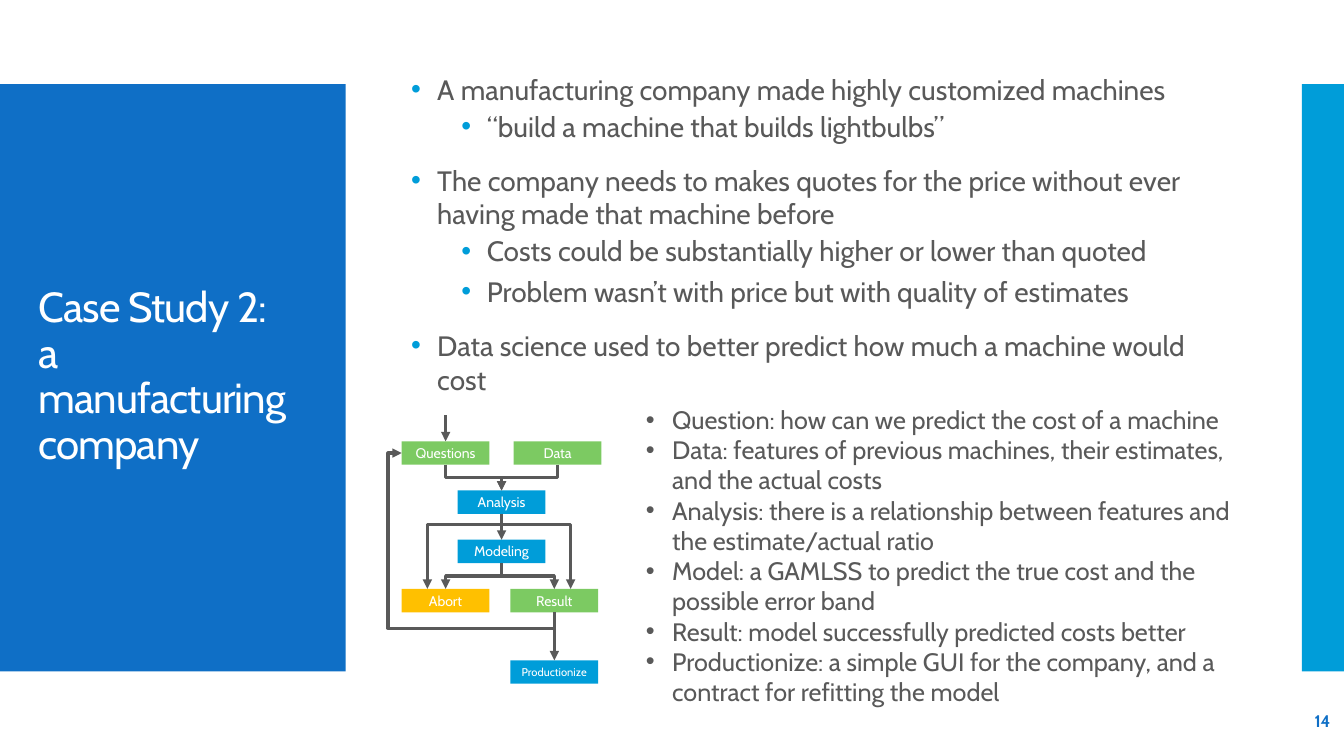
from lxml import etree
from pptx import Presentation
from pptx.dml.color import RGBColor
from pptx.enum.shapes import MSO_CONNECTOR, MSO_SHAPE
from pptx.enum.text import MSO_ANCHOR, MSO_AUTO_SIZE, PP_ALIGN
from pptx.oxml.ns import qn
from pptx.util import Cm, Pt

RECTANGLE = MSO_SHAPE.RECTANGLE
STRAIGHT, ELBOW = MSO_CONNECTOR.STRAIGHT, MSO_CONNECTOR.ELBOW
MIDDLE, NO_AUTOFIT = MSO_ANCHOR.MIDDLE, MSO_AUTO_SIZE.NONE
LEFT, CENTER, RIGHT = PP_ALIGN.LEFT, PP_ALIGN.CENTER, PP_ALIGN.RIGHT
BLUE, CYAN, GREEN, AMBER = "0F6FC6", "009DD9", "7CCA62", "FFC000"
GRAY, WHITE = "595959", "FFFFFF"


def color(value):
    return RGBColor.from_string(value)


def add_text(paragraph, text, size, text_color, bold=False):
    run = paragraph.add_run()
    run.text = text
    run.font.name = "Cabin"
    run.font.size = Pt(size)
    run.font.bold = bold
    run.font.color.rgb = color(text_color)
    return run


presentation = Presentation()
presentation.slide_width, presentation.slide_height = Cm(33.87), Cm(19.05)
slide = presentation.slides.add_slide(presentation.slide_layouts[5])

# Side panels, kept behind the title
title = slide.shapes.title
for left, width, fill in [(0, 8.71, BLUE), (32.81, 1.06, CYAN)]:
    panel = slide.shapes.add_shape(RECTANGLE, Cm(left), Cm(2.12), Cm(width), Cm(14.8))
    panel.shadow.inherit = False
    panel.fill.solid()
    panel.fill.fore_color.rgb = color(fill)
    panel.line.fill.background()
    title._element.addprevious(panel._element)

# Title
title.left, title.top, title.width, title.height = Cm(0.71), Cm(3.12), Cm(7.37), Cm(12.78)
title.text_frame.word_wrap = True
title.text_frame.auto_size = NO_AUTOFIT
title.text_frame.vertical_anchor = MIDDLE
paragraph = title.text_frame.paragraphs[0]
paragraph.alignment = LEFT
paragraph.line_spacing = 0.9
title_runs = [add_text(paragraph, "Case Study 2: ", 30, WHITE)]
paragraph.add_line_break()
title_runs.append(add_text(paragraph, "a manufacturing company", 30, WHITE))
for run in title_runs:
    run._r.get_or_add_rPr().set("spc", "-60")

# Bulleted texts: left, top, width, height, size, bullet colour, space before, lines with level
case_lines = [
    (0, "A manufacturing company made highly customized machines"),
    (1, "“build a machine that builds lightbulbs”"),
    (0, "The company needs to makes quotes for the price without ever having made that machine before"),
    (1, "Costs could be substantially higher or lower than quoted"),
    (1, "Problem wasn’t with price but with quality of estimates"),
    (0, "Data science used to better predict how much a machine would cost"),
]
step_lines = [
    (0, "Question: how can we predict the cost of a machine"),
    (0, "Data: features of previous machines, their estimates, and the actual costs"),
    (0, "Analysis: there is a relationship between features and the estimate/actual ratio"),
    (0, "Model: a GAMLSS to predict the true cost and the possible error band"),
    (0, "Result: model successfully predicted costs better"),
    (0, "Productionize: a simple GUI for the company, and a contract for refitting the model"),
]
for left, top, width, height, size, bullet_color, space, lines in [
    (10.11, 2.39, 20.96, 7.01, 20, CYAN, 12, case_lines),
    (16.03, 10.06, 15.49, 8.33, 18, GRAY, 0, step_lines),
]:
    text_box = slide.shapes.add_textbox(Cm(left), Cm(top), Cm(width), Cm(height))
    frame = text_box.text_frame
    frame.word_wrap = True
    if lines is case_lines:
        frame.vertical_anchor = MIDDLE
    for index, (level, text) in enumerate(lines):
        paragraph = frame.add_paragraph() if index else frame.paragraphs[0]
        paragraph.level = level
        paragraph.space_before = Pt(2.5 if level else space)
        paragraph.space_after = Pt(2.5 if level else 0)
        properties = paragraph._p.get_or_add_pPr()
        properties.set("marL", str(Cm(1.91 if level else 0.66)))
        properties.set("indent", str(Cm(-0.64 if level else -0.66)))
        bullet = etree.SubElement(properties, qn("a:buClr"))
        etree.SubElement(bullet, qn("a:srgbClr"), val=bullet_color)
        etree.SubElement(properties, qn("a:buFont"), typeface="Arial")
        etree.SubElement(properties, qn("a:buChar"), char="•")
        add_text(paragraph, text, size, GRAY)

# Flowchart boxes: label, centre, top, fill, text size
flowchart = slide.shapes.add_group_shape()
BOX_WIDTH, BOX_HEIGHT = 2.21, 0.59
ROW_1, ROW_2, ROW_3, ROW_4 = [11.12 + 1.24 * row for row in range(4)]
LAST_ROW = 16.64
QUESTIONS_X, ANALYSIS_X, RESULT_X, DATA_X = 11.23, 12.64, 13.97, 14.05
for label, center, top, fill, size in [
    ("Questions", QUESTIONS_X, ROW_1, GREEN, 10),
    ("Data", DATA_X, ROW_1, GREEN, 10),
    ("Analysis", ANALYSIS_X, ROW_2, CYAN, 10),
    ("Modeling", ANALYSIS_X, ROW_3, CYAN, 10),
    ("Result", RESULT_X, ROW_4, GREEN, 10),
    ("Abort", QUESTIONS_X, ROW_4, AMBER, 10),
    ("Productionize", RESULT_X, LAST_ROW, CYAN, 8),
]:
    box = flowchart.shapes.add_shape(
        RECTANGLE, Cm(center - BOX_WIDTH / 2), Cm(top), Cm(BOX_WIDTH), Cm(BOX_HEIGHT))
    box.shadow.inherit = False
    box.fill.solid()
    box.fill.fore_color.rgb = color(fill)
    box.line.fill.background()
    frame = box.text_frame
    frame.margin_left = frame.margin_right = frame.margin_top = frame.margin_bottom = 0
    frame.word_wrap = True
    frame.vertical_anchor = MIDDLE
    frame.paragraphs[0].alignment = CENTER
    add_text(frame.paragraphs[0], label, size, WHITE)

# Flowchart arrows: start, end, positions of the bends along the way
for x1, y1, x2, y2, bends in [
    (QUESTIONS_X, ROW_1 + BOX_HEIGHT, ANALYSIS_X, ROW_2, [0.5]),
    (DATA_X, ROW_1 + BOX_HEIGHT, ANALYSIS_X, ROW_2, [0.5]),
    (ANALYSIS_X, ROW_2 + BOX_HEIGHT, ANALYSIS_X, ROW_3, []),
    (ANALYSIS_X, ROW_3 + BOX_HEIGHT, QUESTIONS_X, ROW_4, [0.5]),
    (ANALYSIS_X, ROW_2 + BOX_HEIGHT, 10.77, ROW_4, [0.14]),
    (ANALYSIS_X, ROW_2 + BOX_HEIGHT, 14.38, ROW_4, [0.14]),
    (ANALYSIS_X, ROW_3 + BOX_HEIGHT, RESULT_X, ROW_4, [0.5]),
    (RESULT_X, ROW_4 + BOX_HEIGHT, QUESTIONS_X - BOX_WIDTH / 2, ROW_1 + BOX_HEIGHT / 2, [-0.1, 1.09]),
    (QUESTIONS_X, 10.46, QUESTIONS_X, ROW_1, []),
    (RESULT_X, ROW_4 + BOX_HEIGHT, RESULT_X, LAST_ROW, []),
]:
    if bends:
        # An elbow leaves sideways, so it is laid flat and turned about its centre
        center_x, center_y = (x1 + x2) / 2, (y1 + y2) / 2
        half_width, half_height = abs(y2 - y1) / 2, abs(x2 - x1) / 2
        arrow = flowchart.shapes.add_connector(
            ELBOW, Cm(center_x - half_width), Cm(center_y - half_height),
            Cm(center_x + half_width), Cm(center_y + half_height))
        transform = arrow._element.spPr.find(qn("a:xfrm"))
        transform.set("rot", str((270 if x2 > x1 else 90) * 60000))
        if x2 > x1 or y2 < y1:
            transform.set("flipH", "1")
        geometry = arrow._element.spPr.find(qn("a:prstGeom"))
        geometry.set("prst", f"bentConnector{len(bends) + 2}")
        guides = geometry.find(qn("a:avLst"))
        for number, bend in enumerate(bends, 1):
            etree.SubElement(guides, qn("a:gd"), name=f"adj{number}", fmla=f"val {round(bend * 100000)}")
    else:
        arrow = flowchart.shapes.add_connector(STRAIGHT, Cm(x1), Cm(y1), Cm(x2), Cm(y2))
    arrow.line.color.rgb = color(GRAY)
    arrow.line.width = Pt(2.25)
    etree.SubElement(arrow.line._get_or_add_ln(), qn("a:tailEnd"), type="triangle")
    etree.SubElement(arrow._element.spPr, qn("a:effectLst"))

# Slide number
number_box = slide.shapes.add_textbox(Cm(29.54), Cm(17.65), Cm(4.24), Cm(1.02))
number_box.text_frame.word_wrap = True
number_box.text_frame.vertical_anchor = MIDDLE
number_box.text_frame.paragraphs[0].alignment = RIGHT
add_text(number_box.text_frame.paragraphs[0], "14", 12, BLUE, bold=True)

presentation.save("out.pptx")
